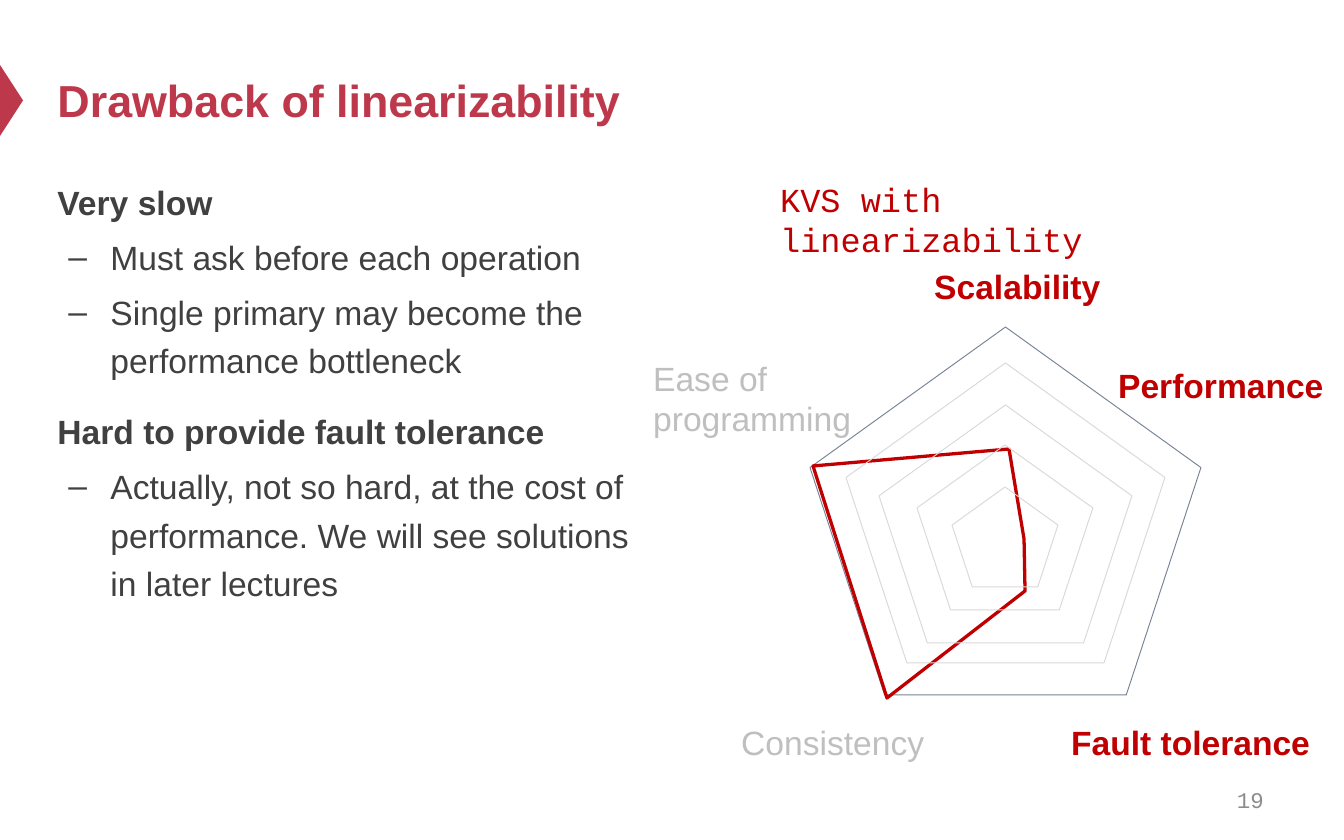
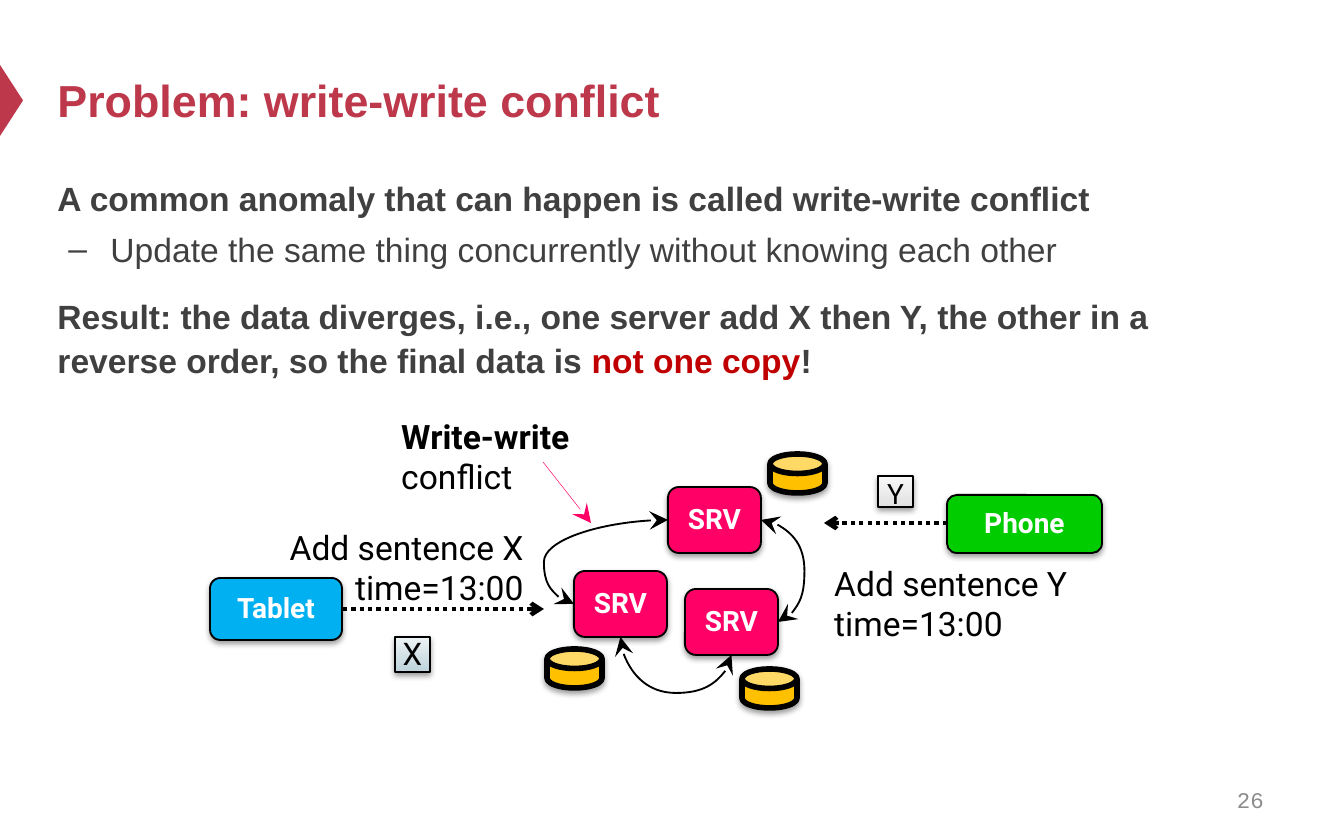
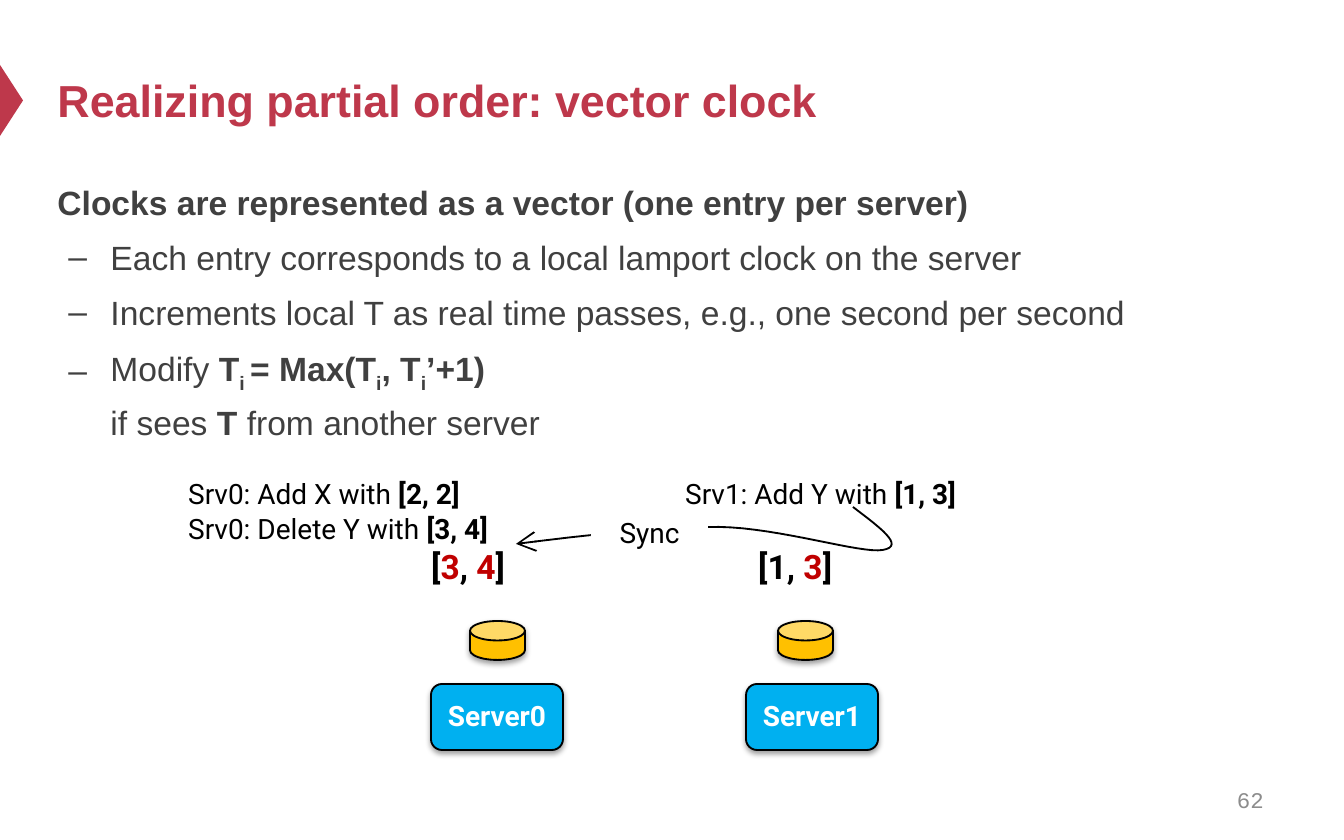
from dataclasses import dataclass

from lxml import etree
from pptx import Presentation
from pptx.dml.color import RGBColor
from pptx.enum.dml import MSO_LINE
from pptx.enum.shapes import MSO_CONNECTOR as CXN, MSO_SHAPE as SHAPE
from pptx.enum.text import MSO_ANCHOR as ANCHOR, MSO_AUTO_SIZE as AUTO, PP_ALIGN as ALIGN
from pptx.oxml.ns import qn
from pptx.util import Pt

EMU_PER_PX = 914400 / 134.4


def px(n):
    return round(n * EMU_PER_PX)


@dataclass(frozen=True)
class Theme:
    brand: str = "BE384B"
    body: str = "404040"
    accent: str = "C00000"
    muted: str = "BFBFBF"
    number: str = "8C8C8C"
    black: str = "000000"
    white: str = "FFFFFF"
    outline: str = "778495"
    grid: str = "D9D9D9"
    server: str = "FF0066"
    blue: str = "00B0F0"
    green: str = "00CC00"
    disk: str = "FFC000"
    x_grad: tuple = ("BDD3DB", "EDF3F5")
    y_grad: tuple = ("E2E2E2", "F7F7F7")
    sans: str = "Arial"
    mono: str = "Courier New"
    diagram: str = "Roboto"
    title_pt: float = 24
    text_pt: float = 18
    node_pt: float = 15
    number_pt: float = 12


T = Theme()


@dataclass(frozen=True)
class Box:
    x: int
    y: int
    w: int
    h: int

    def sub(self, x, y, w, h):
        return Box(self.x + x, self.y + y, w, h)

    def point(self, x, y):
        return px(self.x + x), px(self.y + y)

    def emu(self):
        return px(self.x), px(self.y), px(self.w), px(self.h)


TITLE = Box(44, 34, 1210, 132)
NUMBER = Box(964, 778, 313, 44)
MARKER = Box(-24, 89, 71, 23)


# ---- text ----
def bold(text):
    return text, {"bold": True}


def red(text):
    return text, {"bold": True, "color": T.accent}


def sub(text):
    return text, {"bold": True, "base": -25000}


def add_run(p, text, size=T.text_pt, font=T.sans, color=T.black, bold=False, base=0):
    for i, part in enumerate(text.split("\n")):
        if i:
            p.add_line_break()
        if not part:
            continue
        r = p.add_run()
        r.text = part
        f = r.font
        f.size, f.name, f.bold = Pt(size), font, bold
        f.color.rgb = RGBColor.from_string(color)
        if base:
            f._element.set("baseline", str(base))


def write(p, content, align=None, spacing=None, **fmt):
    """Fill a paragraph from a string or a list of strings and (text, format) pairs."""
    if align is not None:
        p.alignment = align
    if spacing:
        p.line_spacing = spacing
    for part in [content] if isinstance(content, str) else content:
        text, extra = (part, {}) if isinstance(part, str) else part
        add_run(p, text, **{**fmt, **extra})


def label(slide, box, content, wrap=False, **fmt):
    sp = slide.shapes.add_textbox(*box.emu())
    tf = sp.text_frame
    tf.word_wrap = wrap
    tf.auto_size = AUTO.SHAPE_TO_FIT_TEXT
    write(tf.paragraphs[0], content, **fmt)
    return sp


# ---- shapes and lines ----
def paint(sp, fill=None, line=None, width=1):
    sp.shadow.inherit = False
    if fill is None:
        sp.fill.background()
    elif isinstance(fill, tuple):
        sp.fill.gradient()
        sp.fill.gradient_angle = 90
        for stop, color in zip(sp.fill.gradient_stops, fill):
            stop.color.rgb = RGBColor.from_string(color)
    else:
        sp.fill.solid()
        sp.fill.fore_color.rgb = RGBColor.from_string(fill)
    if line:
        sp.line.color.rgb = RGBColor.from_string(line)
        sp.line.width = Pt(width)
    else:
        sp.line.fill.background()


def shape(slide, kind, box, **look):
    sp = slide.shapes.add_shape(kind, *box.emu())
    paint(sp, **look)
    return sp


def drop_shadow(sp):
    effects = sp._element.spPr.find(qn("a:effectLst"))
    shadow = etree.SubElement(effects, qn("a:outerShdw"), blurRad="40000",
                              dist="20000", dir="5400000", rotWithShape="0")
    color = etree.SubElement(shadow, qn("a:srgbClr"), val=T.black)
    etree.SubElement(color, qn("a:alpha"), val="38000")


def node(slide, box, text, fill, kind=SHAPE.ROUNDED_RECTANGLE, insets=(0, 4, 0, 7),
         width=1, **fmt):
    sp = shape(slide, kind, box, fill=fill, line=T.black, width=width)
    drop_shadow(sp)
    tf = sp.text_frame
    tf.word_wrap = False
    tf.vertical_anchor = ANCHOR.MIDDLE
    tf.margin_left, tf.margin_top, tf.margin_right, tf.margin_bottom = map(px, insets)
    style = {"size": T.node_pt, "font": T.diagram, "color": T.white, "bold": True}
    write(tf.paragraphs[0], text, align=ALIGN.CENTER, **{**style, **fmt})
    return sp


def disk(slide, box, width=1):
    sp = shape(slide, SHAPE.CAN, box, fill=T.disk, line=T.black, width=width)
    sp.adjustments[0] = 0.5
    drop_shadow(sp)


def arrowheads(sp, kind, ends=("tailEnd",), size="lg"):
    ln = sp.line._get_or_add_ln()
    for end in ends:
        etree.SubElement(ln, qn("a:" + end), type=kind, w=size, len=size)


def flatten(c):
    etree.SubElement(c._element.spPr, qn("a:effectLst"))


def arrow(slide, start, end, color=T.black, width=1, dash=None, head="arrow", size="lg"):
    c = slide.shapes.add_connector(CXN.STRAIGHT, *start, *end)
    c.line.color.rgb = RGBColor.from_string(color)
    c.line.width = Pt(width)
    if dash:
        c.line.dash_style = dash
    arrowheads(c, head, size=size)
    flatten(c)


def link(slide, a, b, site_a, site_b, bend, turned=False):
    """Join two nodes by a curve with a head at each end."""
    c = slide.shapes.add_connector(CXN.CURVE, 0, 0, 0, 0)
    c.begin_connect(a, site_a)
    c.end_connect(b, site_b)
    spPr = c._element.spPr
    if turned:  # the frame of a quarter-turned curve has its sides swapped
        x, y, w, h = c.left, c.top, c.width, c.height
        c.left, c.top = x + (w - h) // 2, y + (h - w) // 2
        c.width, c.height = h, w
        xfrm = spPr.find(qn("a:xfrm"))
        xfrm.set("rot", "5400000")
        xfrm.set("flipV", "0")
    etree.SubElement(spPr.find(qn("a:prstGeom")).find(qn("a:avLst")), qn("a:gd"),
                     name="adj1", fmla=f"val {round(bend * 100000)}")
    c.line.color.rgb = RGBColor.from_string(T.black)
    c.line.width = Pt(1)
    arrowheads(c, "stealth", ("headEnd", "tailEnd"))
    flatten(c)


def outline(slide, points, close, color, width):
    builder = slide.shapes.build_freeform(*points[0], scale=1.0)
    builder.add_line_segments(points[1:], close=close)
    sp = builder.convert_to_shape()
    paint(sp, line=color, width=width)
    return sp


def bezier(points, steps=16):
    """Sample a chain of cubic curves: a start, then three points for each curve."""
    path = [points[0]]
    for i in range(0, len(points) - 1, 3):
        for n in range(1, steps + 1):
            t = n / steps
            u = 1 - t
            weights = (u ** 3, 3 * u * u * t, 3 * u * t * t, t ** 3)
            path.append(tuple(sum(k * p[axis] for k, p in zip(weights, points[i:i + 4]))
                              for axis in (0, 1)))
    return path


# ---- shared slide parts ----
def add_marker(prs, slide):
    """Place the red marker on the master, behind everything."""
    sp = shape(slide, SHAPE.ISOSCELES_TRIANGLE, MARKER, fill=T.brand)
    sp.rotation = 90
    sp._element.nvSpPr.cNvPr.set("id", "20")
    prs.slide_master.shapes.element.insert(2, sp._element)


def fit(sp, box):
    sp.left, sp.top, sp.width, sp.height = box.emu()
    sp.text_frame.auto_size = AUTO.NONE
    return sp.text_frame


def new_slide(prs, title, number):
    slide = prs.slides.add_slide(prs.slide_layouts[1])
    tf = fit(slide.shapes.title, TITLE)
    tf.vertical_anchor = ANCHOR.MIDDLE
    write(tf.paragraphs[0], title, align=ALIGN.LEFT, size=T.title_pt,
          color=T.brand, bold=True)
    sp = label(slide, NUMBER, number, wrap=True, align=ALIGN.RIGHT, size=T.number_pt,
               font=T.mono, color=T.number)
    sp.text_frame.auto_size = AUTO.NONE
    sp.text_frame.vertical_anchor = ANCHOR.MIDDLE
    return slide


def body(slide, box, items, spacing=1.2):
    """Fill the body placeholder from (level, content) pairs."""
    tf = fit(slide.placeholders[1], box)
    for i, (level, content) in enumerate(items):
        p = tf.add_paragraph() if i else tf.paragraphs[0]
        p.level = level
        p.space_before = Pt((3.6 if level else 12) if i else 0)
        pPr = p._p.get_or_add_pPr()
        pPr.set("marL", str(px(53) if level else 0))
        pPr.set("indent", str(px(-42) if level else 0))
        if level:
            etree.SubElement(pPr, qn("a:buFont"), typeface=T.sans)
            etree.SubElement(pPr, qn("a:buChar"), char="–")
        else:
            etree.SubElement(pPr, qn("a:buNone"))
        write(p, content, align=ALIGN.LEFT, spacing=spacing, color=T.body, bold=not level)


# ---- diagrams ----
def radar(slide, box):
    # axis names, the weak ones in red
    for x, y, w, h, text, weak in (
            (281, 87, 195, 54, "Scalability", True),
            (88, 543, 212, 54, "Consistency", False),
            (418, 543, 278, 54, "Fault tolerance", True),
            (0, 179, 227, 95, "Ease of\nprogramming", False),
            (465, 186, 234, 54, "Performance", True)):
        label(slide, box.sub(x, y, w, h), text, bold=weak,
              color=T.accent if weak else T.muted)
    # outer ring, score, inner rings
    score = [(173, 294), (369, 277), (384, 367), (385, 419), (247, 526)]
    rings = [(391, 155), (319, 191), (253, 233), (176, 273), (106, 315)]
    for i, (w, top) in enumerate(rings):
        shape(slide, SHAPE.REGULAR_PENTAGON,
              box.sub(365 - w // 2, top, w, round(w * 0.94)),
              line=T.grid if i else T.outline, width=0.5)
        if i == 0:
            outline(slide, [box.point(*p) for p in score], True, T.accent, 1.75)
    label(slide, box.sub(127, 0, 474, 54), "KVS with linearizability", wrap=True,
          font=T.mono, color=T.accent)


def conflict_diagram(slide, box):
    # operations
    for x, y, w, name, align in ((611, 147, 261, "Y", ALIGN.LEFT),
                                 (64, 111, 263, "X", ALIGN.RIGHT)):
        label(slide, box.sub(x, y, w, 95), f"Add sentence {name}\ntime=13:00",
              align=align, font=T.diagram)
    for x, y, h, name, fill, top, size, width in (
            (185, 228, 35, "X", T.x_grad, 4, 16.7, 1),
            (668, 67, 31, "Y", T.y_grad, 9, 15, 0.75)):
        node(slide, box.sub(x, y, 35, h), name, fill, kind=SHAPE.RECTANGLE,
             insets=(4, top, 4, 0), width=width, size=size, color=T.black,
             bold=False, spacing=0.8)
    # servers, their links and disks
    top, left, right = [node(slide, box.sub(x, y, 93, 66), "SRV", T.server)
                        for x, y in ((458, 78), (364, 162), (475, 180))]
    link(slide, left, top, 1, 1, -0.32)
    link(slide, top, right, 3, 3, 2.56)
    link(slide, right, left, 2, 2, -2.11, turned=True)
    for x, y in ((560, 45), (337, 240), (532, 260)):
        disk(slide, box.sub(x, y, 55, 39), width=3)
    # clients
    for x, y, w, h, name, fill, start, end in (
            (0, 169, 132, 62, "Tablet", T.blue, (133, 200), (334, 200)),
            (737, 86, 155, 58, "Phone", T.green, (737, 114), (614, 114))):
        node(slide, box.sub(x, y, w, h), name, fill)
        arrow(slide, box.point(*start), box.point(*end), width=2.25,
              dash=MSO_LINE.ROUND_DOT, size="med")
    # callout
    label(slide, box.sub(178, 0, 308, 54), [bold("Write-write"), " conflict"],
          wrap=True, font=T.diagram)
    arrow(slide, box.point(333, 53), box.point(381, 114), color=T.server,
          width=0.25, head="stealth")


def clock_diagram(slide, box):
    # servers with disk and clock
    clocks = (["[", red("3"), ", ", red("4"), "]"], ["[1, ", red("3"), "]"])
    for i, clock in enumerate(clocks):
        disk(slide, box.sub(295 + 308 * i, 145, 55, 39))
        node(slide, box.sub(256 + 315 * i, 208, 132, 66), f"Server{i}", T.blue)
        label(slide, box.sub(243 + 327 * i, 63, 146, 54), clock, wrap=True,
              font=T.diagram, bold=True)
    # sync path
    path = bezier([(678, 31), (704, 51), (731, 70), (708, 74), (685, 78), (606, 52),
                   (544, 51), (484, 51), (412, 59), (341, 68)])
    arrowheads(outline(slide, [box.point(*p) for p in path], False, T.black, 1), "arrow")
    small = {"wrap": True, "size": T.node_pt, "font": T.diagram, "spacing": 0.8}
    sync = label(slide, box.sub(416, 39, 117, 42), "Sync", align=ALIGN.CENTER, **small)
    sync.fill.solid()
    sync.fill.fore_color.rgb = RGBColor.from_string(T.white)
    # logs
    for x, y, text, clock in ((0, 0, "Srv0: Add X with ", "[2, 2]"),
                              (497, 0, "Srv1: Add Y with ", "[1, 3]"),
                              (0, 35, "Srv0: Delete Y with ", "[3, 4]")):
        label(slide, box.sub(x, y, 360, 42), [text, bold(clock)], **small)


# ---- slides ----
def drawback_slide(prs):
    slide = new_slide(prs, "Drawback of linearizability", "19")
    add_marker(prs, slide)
    body(slide, Box(44, 167, 605, 554), [
        (0, "Very slow"),
        (1, "Must ask before each operation"),
        (1, "Single primary may become the performance bottleneck"),
        (0, "Hard to provide fault tolerance"),
        (1, "Actually, not so hard, at the cost of performance. "
            "We will see solutions in later lectures")])
    radar(slide, Box(640, 172, 700, 600))


def conflict_slide(prs):
    slide = new_slide(prs, "Problem: write-write conflict", "26")
    body(slide, Box(44, 167, 1210, 227), [
        (0, "A common anomaly that can happen is called write-write conflict"),
        (1, "Update the same thing concurrently without knowing each other"),
        (0, ["Result: the data diverges, i.e., one server add X then Y, the other in a "
             "reverse order, so the final data is ", red("not one copy"), "!"])],
        spacing=1.1)
    conflict_diagram(slide, Box(210, 409, 893, 310))


def clock_slide(prs):
    slide = new_slide(prs, "Realizing partial order: vector clock", "62")
    body(slide, Box(44, 167, 1210, 349), [
        (0, "Clocks are represented as a vector (one entry per server)"),
        (1, "Each entry corresponds to a local lamport clock on the server"),
        (1, "Increments local T as real time passes, e.g., one second per second"),
        (1, ["Modify ", bold("T"), sub("i "), bold("= Max(T"), sub("i"), bold(", T"),
             sub("i"), bold("’+1)"), "\nif sees ", bold("T"), " from another server"])])
    clock_diagram(slide, Box(175, 476, 857, 274))


def main():
    prs = Presentation()
    prs.slide_width, prs.slide_height = px(1344), px(840)
    drawback_slide(prs)
    conflict_slide(prs)
    clock_slide(prs)
    prs.save("out.pptx")


if __name__ == "__main__":
    main()
